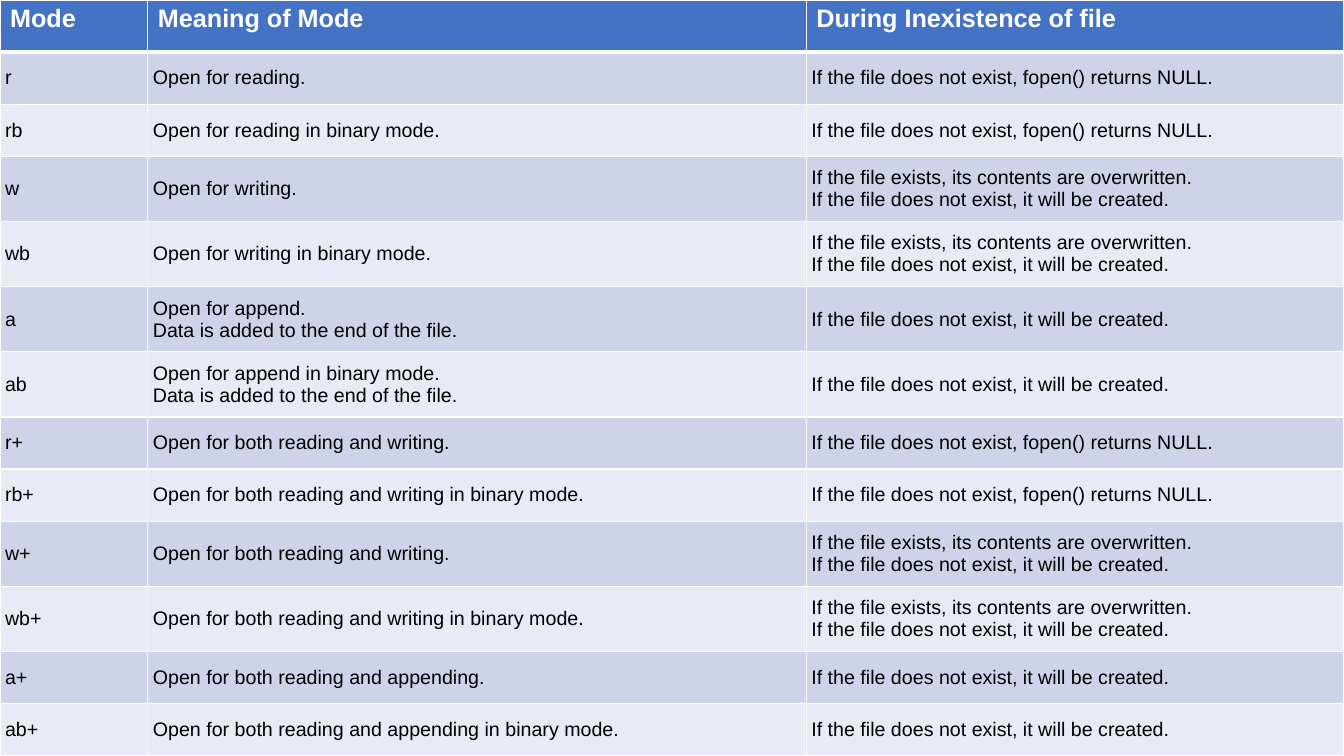
from copy import deepcopy

from lxml.etree import SubElement
from pptx import Presentation
from pptx.dml.color import RGBColor
from pptx.enum.text import MSO_ANCHOR as ANCHOR
from pptx.oxml.ns import qn
from pptx.util import Inches, Pt

# Palette
WHITE = RGBColor(0xFF, 0xFF, 0xFF)
BLACK = RGBColor(0x00, 0x00, 0x00)
HEADER_BLUE = RGBColor(0x44, 0x72, 0xC4)
BANDS = [RGBColor(0xCD, 0xD4, 0xEA), RGBColor(0xE8, 0xEB, 0xF5)]

# Grid: column shares of the width, row units for one and two lines of text
SLIDE_W, SLIDE_H = Inches(13.33), Inches(7.5)
COLUMN_SHARES = [0.11, 0.49, 0.4]
ROW_UNITS = {1: 4, 2: 5}

# Cell formats
HEADER_FONT = {"name": "Arial", "size": Pt(18), "bold": True}
BODY_FONT = {"name": "Arial", "size": Pt(14), "bold": False}
HEADER_CELL = {"vertical_anchor": ANCHOR.TOP,
               "margin_left": Inches(0.1), "margin_right": Inches(0.1),
               "margin_top": Inches(0.05), "margin_bottom": Inches(0.05)}
BODY_CELL = {"vertical_anchor": ANCHOR.MIDDLE,
             "margin_left": Inches(0.05), "margin_right": Inches(0.05),
             "margin_top": Inches(0.02), "margin_bottom": Inches(0.02)}
THIN, THICK = Pt(1), Pt(3)

# Wording
RETURNS_NULL = "If the file does not exist, fopen() returns NULL."
CREATED = "If the file does not exist, it will be created."
OVERWRITTEN = "If the file exists, its contents are overwritten.\n" + CREATED
ADDED_AT_END = "\nData is added to the end of the file."
ROWS = [
    ("Mode", "Meaning of Mode", "During Inexistence of file"),
    ("r", "Open for reading.", RETURNS_NULL),
    ("rb", "Open for reading in binary mode.", RETURNS_NULL),
    ("w", "Open for writing.", OVERWRITTEN),
    ("wb", "Open for writing in binary mode.", OVERWRITTEN),
    ("a", "Open for append." + ADDED_AT_END, CREATED),
    ("ab", "Open for append in binary mode." + ADDED_AT_END, CREATED),
    ("r+", "Open for both reading and writing.", RETURNS_NULL),
    ("rb+", "Open for both reading and writing in binary mode.", RETURNS_NULL),
    ("w+", "Open for both reading and writing.", OVERWRITTEN),
    ("wb+", "Open for both reading and writing in binary mode.", OVERWRITTEN),
    ("a+", "Open for both reading and appending.", CREATED),
    ("ab+", "Open for both reading and appending in binary mode.", CREATED),
]


def set_format(obj, values):
    for name, value in values.items():
        setattr(obj, name, value)


def set_borders(cell, top=THIN, bottom=THIN):
    """Draw white lines on all four sides of a cell."""
    tc_pr = cell._tc.get_or_add_tcPr()
    widths = {"a:lnL": THIN, "a:lnR": THIN, "a:lnT": top, "a:lnB": bottom}
    for tag, width in widths.items():
        ln = SubElement(tc_pr, qn(tag), w=str(width))
        fill = SubElement(ln, qn("a:solidFill"))
        SubElement(fill, qn("a:srgbClr"), val=str(WHITE))


def fill_cell(cell, text, font, color, background, layout):
    set_format(cell, layout)
    cell.fill.solid()
    cell.fill.fore_color.rgb = background
    p = cell.text_frame.paragraphs[0]
    p.text = text
    for r in p.runs:
        set_format(r.font, font)
        r.font.color.rgb = color
    # Line breaks take the same text size as the runs
    for br in p._p.findall(qn("a:br")):
        br.append(deepcopy(p.runs[0]._r.rPr))


def add_mode_table(slide):
    table = slide.shapes.add_table(
        len(ROWS), len(COLUMN_SHARES), 0, 0, SLIDE_W, SLIDE_H).table
    for column, share in zip(table.columns, COLUMN_SHARES):
        column.width = int(SLIDE_W * share)

    units = [ROW_UNITS[1 + max(text.count("\n") for text in row)] for row in ROWS]
    for row, unit in zip(table.rows, units):
        row.height = int(SLIDE_H * unit / sum(units))

    for i, texts in enumerate(ROWS):
        for j, text in enumerate(texts):
            cell = table.cell(i, j)
            set_borders(cell, top=THICK if i == 1 else THIN,
                        bottom=THICK if i == 0 else THIN)
            if i == 0:
                fill_cell(cell, text, HEADER_FONT, WHITE, HEADER_BLUE, HEADER_CELL)
            else:
                fill_cell(cell, text, BODY_FONT, BLACK, BANDS[(i - 1) % 2], BODY_CELL)


def main():
    prs = Presentation()
    prs.slide_width, prs.slide_height = SLIDE_W, SLIDE_H
    slide = prs.slides.add_slide(prs.slide_layouts[6])
    add_mode_table(slide)
    prs.save("out.pptx")


if __name__ == "__main__":
    main()
